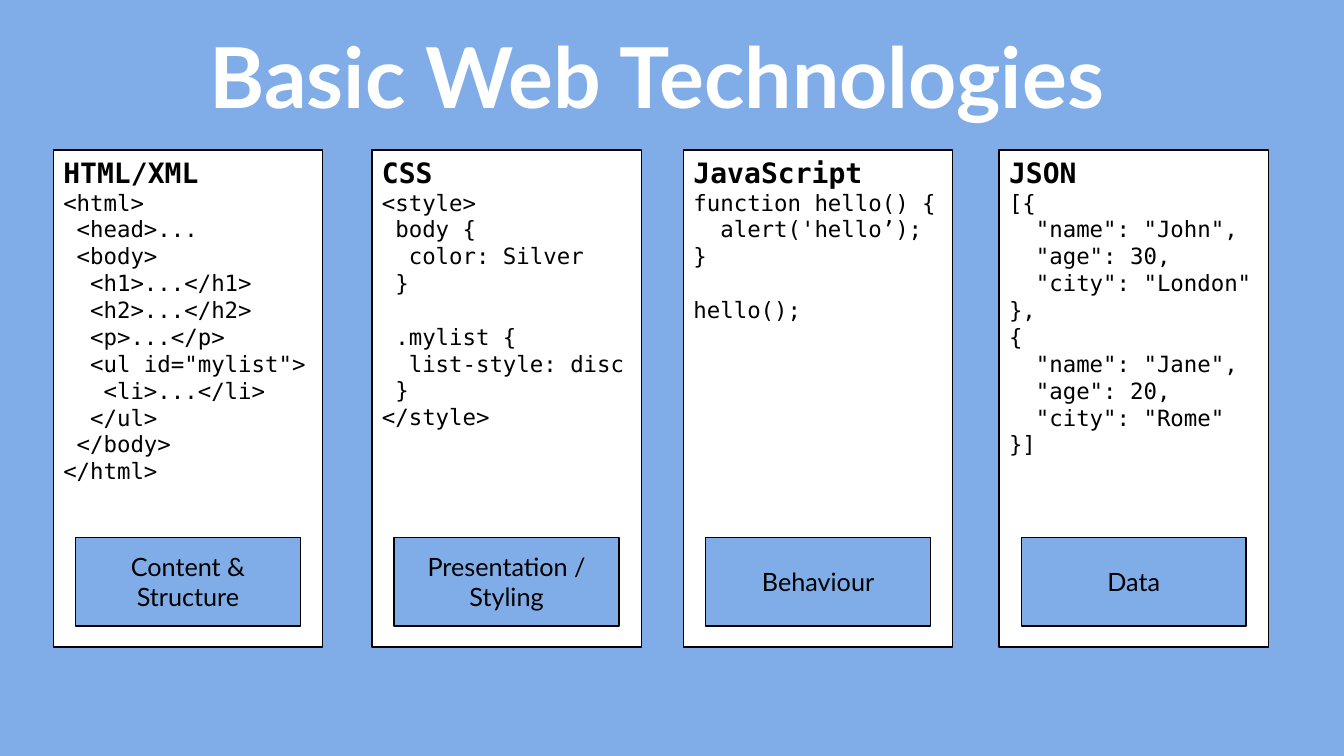
import pptx
import pptx.util
import pptx.dml.color
import pptx.enum.shapes
import pptx.enum.text

Inches = pptx.util.Inches
Pt = pptx.util.Pt
PP_ALIGN = pptx.enum.text.PP_ALIGN
MSO_ANCHOR = pptx.enum.text.MSO_ANCHOR

COLORS = {"blue": "80ADE7", "white": "FFFFFF", "black": "000000"}
CODE_FONT = "DejaVu Sans Mono"
TEXT_FONT = "Lato"
CARD_TOP, CARD_W, CARD_H = 1.49, 2.67, 4.93
CODE_LINE = 19

CARDS = [
    (0.53, "HTML/XML", "Content & Structure", """<html>
 <head>...
 <body>
  <h1>...</h1>
  <h2>...</h2>
  <p>...</p>
  <ul id="mylist">
   <li>...</li>
  </ul>
 </body>
</html>"""),
    (3.69, "CSS", "Presentation / Styling", """<style>
 body {
  color: Silver
 }

 .mylist {
  list-style: disc
 }
</style>"""),
    (6.78, "JavaScript", "Behaviour", """function hello() {
  alert('hello’);
}

hello();"""),
    (9.91, "JSON", "Data", """[{
  "name": "John",
  "age": 30,
  "city": "London"
},
{
  "name": "Jane",
  "age": 20,
  "city": "Rome"
}]"""),
]


def rgb(name):
    return pptx.dml.color.RGBColor.from_string(COLORS[name])


def set_font(p, name, size, color, bold=False):
    p.font.name = name
    p.font.size = Pt(size)
    p.font.bold = bold
    p.font.color.rgb = rgb(color)


def add_box(s, x, y, w, h, fill, anchor):
    sp = s.shapes.add_shape(pptx.enum.shapes.MSO_SHAPE.RECTANGLE,
                            Inches(x), Inches(y), Inches(w), Inches(h))
    sp.shadow.inherit = False
    sp.fill.solid()
    sp.fill.fore_color.rgb = rgb(fill)
    sp.line.color.rgb = rgb("black")
    sp.line.width = Pt(1)
    tf = sp.text_frame
    tf.word_wrap = True
    tf.vertical_anchor = anchor
    return tf


def add_title(s, text, x, y, w, h):
    sp = s.shapes.title
    sp.left, sp.top, sp.width, sp.height = map(Inches, (x, y, w, h))
    tf = sp.text_frame
    tf.text = text
    tf.word_wrap = True
    tf.auto_size = pptx.enum.text.MSO_AUTO_SIZE.NONE
    tf.vertical_anchor = MSO_ANCHOR.MIDDLE
    p = tf.paragraphs[0]
    p.alignment = PP_ALIGN.CENTER
    set_font(p, TEXT_FONT, 60, "white", True)


def add_card(s, heading, role, code, x, y, w, h):
    tf = add_box(s, x, y, w, h, "white", MSO_ANCHOR.TOP)
    p = tf.paragraphs[0]
    p.text = heading
    p.alignment = PP_ALIGN.LEFT
    set_font(p, CODE_FONT, 20, "black", True)
    gap = 0
    for line in code.split("\n"):
        if not line:
            gap += CODE_LINE
            continue
        p = tf.add_paragraph()
        p.text = line
        p.alignment = PP_ALIGN.LEFT
        p.space_before = Pt(gap)
        set_font(p, CODE_FONT, 16, "black")
        gap = 0

    tf = add_box(s, x + 0.22, y + 3.84, w - 0.44, 0.88, "blue", MSO_ANCHOR.MIDDLE)
    p = tf.paragraphs[0]
    p.text = role
    p.alignment = PP_ALIGN.CENTER
    set_font(p, TEXT_FONT, 18, "black")


def main():
    prs = pptx.Presentation()
    prs.slide_width = Inches(13.33)
    prs.slide_height = Inches(7.5)
    s = prs.slides.add_slide(prs.slide_layouts[5])
    s.background.fill.solid()
    s.background.fill.fore_color.rgb = rgb("blue")
    add_title(s, "Basic Web Technologies", -0.15, 0.19, 13.33, 1.11)
    for x, heading, role, code in CARDS:
        add_card(s, heading, role, code, x, CARD_TOP, CARD_W, CARD_H)
    prs.save("out.pptx")


if __name__ == "__main__":
    main()
